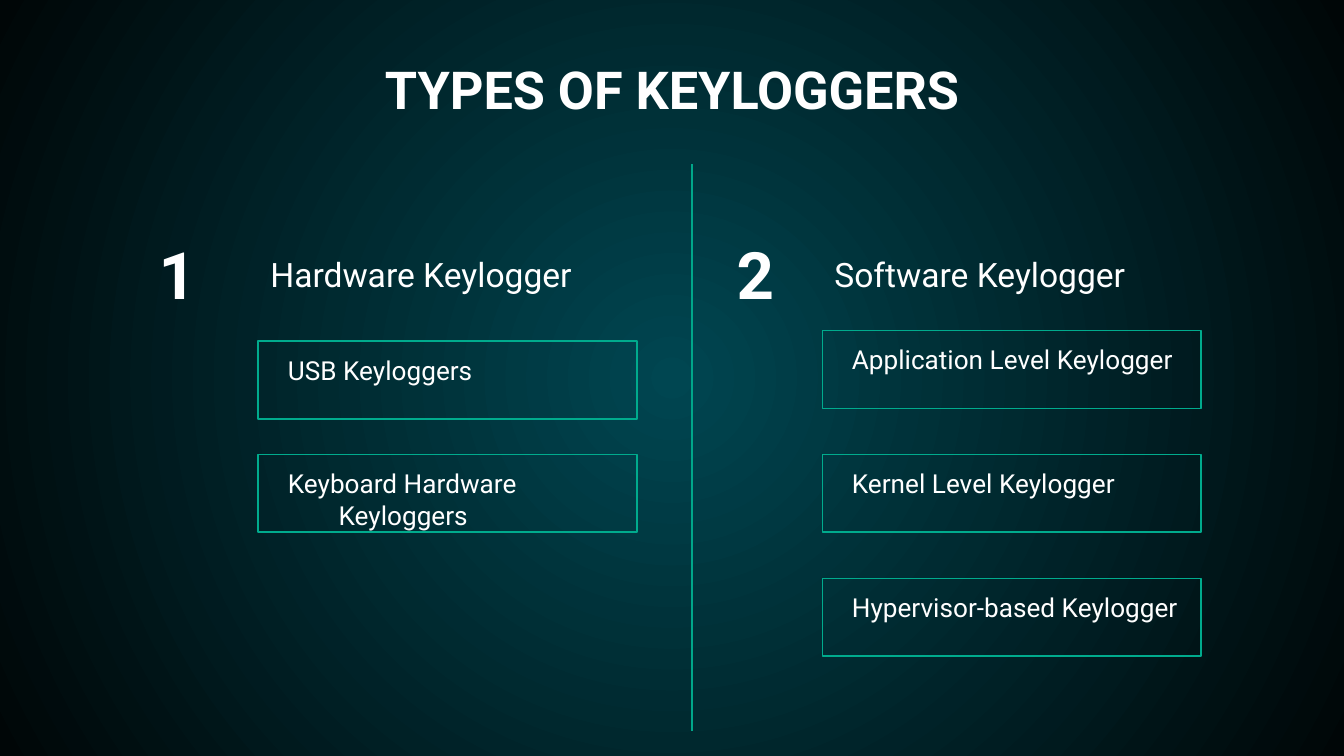
"""Build the slide that compares hardware and software keyloggers."""
from lxml import etree
from pptx import Presentation
from pptx.dml.color import RGBColor
from pptx.enum.shapes import MSO_CONNECTOR, MSO_SHAPE
from pptx.enum.text import MSO_ANCHOR, MSO_AUTO_SIZE, PP_ALIGN
from pptx.oxml.ns import qn
from pptx.util import Cm, Pt

TITLE = "TYPES OF KEYLOGGERS"
COLUMNS = [
    {
        "number": "1", "heading": "Hardware Keylogger",
        "kinds": ["USB Keyloggers", "Keyboard Hardware Keyloggers"],
        "number_left": 2.16, "heading_left": 4.55, "first_top": 6.45, "pitch": 2.14,
    },
    {
        "number": "2", "heading": "Software Keylogger",
        "kinds": ["Application Level Keylogger", "Kernel Level Keylogger",
                  "Hypervisor-based Keylogger"],
        "number_left": 13.08, "heading_left": 15.21, "first_top": 6.25, "pitch": 2.34,
    },
]

FONT = "Roboto"
WHITE = RGBColor(0xFF, 0xFF, 0xFF)
GREEN = RGBColor(0x00, 0xAB, 0x8D)
DIVIDER_GREEN = RGBColor(0x00, 0xA7, 0x8A)
GLOW = RGBColor(0x00, 0x46, 0x51)
EDGE = RGBColor(0x00, 0x06, 0x07)
LEFT, CENTER = PP_ALIGN.LEFT, PP_ALIGN.CENTER
TOP, MIDDLE, BOTTOM = MSO_ANCHOR.TOP, MSO_ANCHOR.MIDDLE, MSO_ANCHOR.BOTTOM
TITLE_ONLY = 5
BOX_INSET = 0.33


def paint_background(slide):
    fill = slide.background.fill
    fill.gradient()
    for stop, color in zip(fill.gradient_stops, (GLOW, EDGE)):
        stop.color.rgb = color
    gradient = slide.element.find(".//" + qn("a:gradFill"))
    gradient.remove(gradient.find(qn("a:lin")))
    circle = etree.SubElement(gradient, qn("a:path"), path="circle")
    etree.SubElement(circle, qn("a:fillToRect"), l="50000", t="50000", r="50000", b="50000")


def write(shape, text, size, align=LEFT, anchor=TOP, bold=False):
    frame = shape.text_frame
    frame.text = text
    frame.word_wrap = True
    frame.auto_size = MSO_AUTO_SIZE.NONE
    frame.vertical_anchor = anchor
    frame.margin_left = frame.margin_right = Cm(0.25)
    frame.margin_top = frame.margin_bottom = Cm(0.25)
    paragraph = frame.paragraphs[0]
    paragraph.alignment = align
    if align == LEFT:
        properties = paragraph._p.get_or_add_pPr()
        properties.set("marL", str(Cm(1.27)))
        properties.set("indent", str(Cm(-0.96)))
    font = paragraph.runs[0].font
    font.name, font.size, font.bold = FONT, Pt(size), bold
    font.color.rgb = WHITE


def add_label(slide, left, top, width, height, text, size, **style):
    label = slide.shapes.add_textbox(Cm(left), Cm(top), Cm(width), Cm(height))
    write(label, text, size, **style)


def add_kind(slide, left, top, text):
    kind = slide.shapes.add_shape(
        MSO_SHAPE.RECTANGLE, Cm(left), Cm(top), Cm(7.16), Cm(1.47))
    kind.shadow.inherit = False
    kind.fill.background()
    kind.line.color.rgb = GREEN
    kind.line.width = Pt(0.75)
    write(kind, text, 14)


def add_column(slide, column):
    heading_left = column["heading_left"]
    add_label(slide, column["number_left"], 4.55, 2.39, 1.24, column["number"], 35,
              align=CENTER, anchor=MIDDLE, bold=True)
    add_label(slide, heading_left, 4.78, 7.85, 1.04, column["heading"], 18, anchor=BOTTOM)
    for row, text in enumerate(column["kinds"]):
        add_kind(slide, heading_left + BOX_INSET,
                 column["first_top"] + row * column["pitch"], text)


def add_divider(slide):
    divider = slide.shapes.add_connector(
        MSO_CONNECTOR.STRAIGHT, Cm(13.08), Cm(3.1), Cm(13.08), Cm(13.82))
    divider.line.color.rgb = DIVIDER_GREEN
    divider.line.width = Pt(0.75)
    etree.SubElement(divider._element.spPr, qn("a:effectLst"))


def main():
    deck = Presentation()
    deck.slide_width, deck.slide_height = Cm(25.4), Cm(14.29)
    slide = deck.slides.add_slide(deck.slide_layouts[TITLE_ONLY])
    paint_background(slide)

    title = slide.shapes.title
    title.left, title.top, title.width, title.height = Cm(1.98), Cm(0.84), Cm(21.44), Cm(1.6)
    write(title, TITLE, 28, align=CENTER, bold=True)

    for column in COLUMNS:
        add_column(slide, column)
    add_divider(slide)
    deck.save("out.pptx")


if __name__ == "__main__":
    main()
